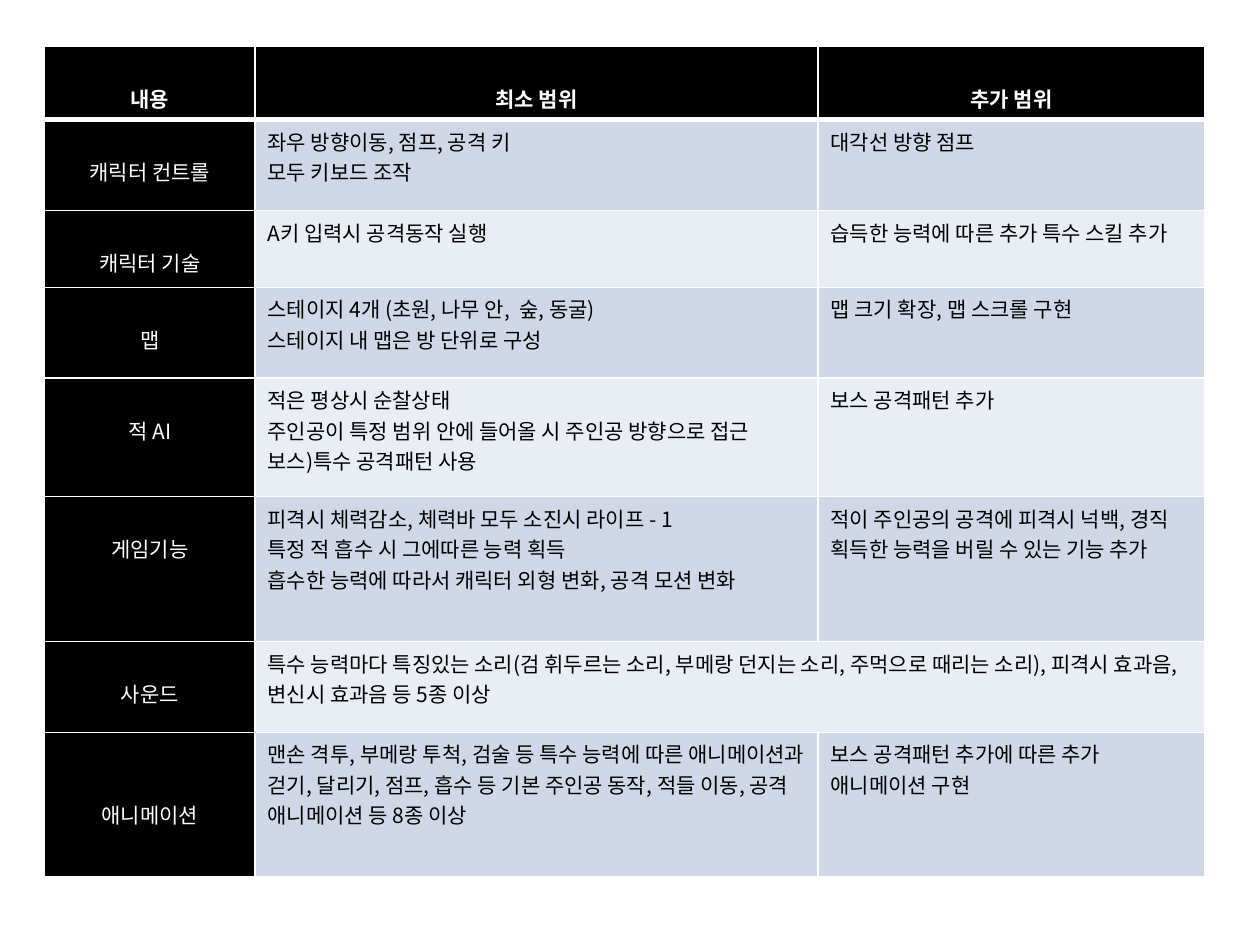
import pptx
import pptx.dml.color
import pptx.enum.text
import pptx.oxml
import pptx.oxml.ns
import pptx.util
from pptx.util import Cm

FONT = "Noto Sans CJK KR"
COLORS = {
    "black": "000000",
    "white": "FFFFFF",
    "band_dark": "D0D8E8",
    "band_light": "E9EDF4",
}
LINE = 0.61  # height of one text line, cm
COLUMNS = [4.24, 11.35, 7.8]
HEADER = ["내용", "최소 범위", "추가 범위"]
HEADER_HEIGHT = 1.32
# height, lines above the label, label, minimum scope, extra scope (None: merged)
ROWS = [
    (1.83, 1, "캐릭터 컨트롤",
     ["좌우 방향이동, 점프, 공격 키", "모두 키보드 조작"],
     ["대각선 방향 점프"]),
    (1.55, 1, "캐릭터 기술",
     ["A키 입력시 공격동작 실행"],
     ["습득한 능력에 따른 추가 특수 스킬 추가"]),
    (1.83, 1, "맵",
     ["스테이지 4개 (초원, 나무 안,  숲, 동굴)", "스테이지 내 맵은 방 단위로 구성"],
     ["맵 크기 확장, 맵 스크롤 구현"]),
    (2.39, 1, "적 AI",
     ["적은 평상시 순찰상태",
      "주인공이 특정 범위 안에 들어올 시 주인공 방향으로 접근",
      "보스)특수 공격패턴 사용"],
     ["보스 공격패턴 추가"]),
    (2.92, 1, "게임기능",
     ["피격시 체력감소, 체력바 모두 소진시 라이프 - 1",
      "특정 적 흡수 시 그에따른 능력 획득",
      "흡수한 능력에 따라서 캐릭터 외형 변화, 공격 모션 변화"],
     ["적이 주인공의 공격에 피격시 넉백, 경직",
      "획득한 능력을 버릴 수 있는 기능 추가"]),
    (1.83, 1, "사운드",
     ["특수 능력마다 특징있는 소리(검 휘두르는 소리, 부메랑 던지는 소리, "
      "주먹으로 때리는 소리), 피격시 효과음,  변신시 효과음 등 5종 이상"],
     None),
    (2.92, 2, "애니메이션",
     ["맨손 격투, 부메랑 투척, 검술 등 특수 능력에 따른 애니메이션과 걷기, "
      "달리기, 점프, 흡수 등 기본 주인공 동작, 적들 이동, 공격 애니메이션 등 8종 이상"],
     ["보스 공격패턴 추가에 따른 추가 애니메이션 구현"]),
]


def rgb(name):
    return pptx.dml.color.RGBColor.from_string(COLORS[name])


class Deck:
    def __init__(self, prs):
        self.s = prs.slides.add_slide(prs.slide_layouts[6])

    def table(self, left, top, widths, heights):
        frame = self.s.shapes.add_table(
            len(heights), len(widths), Cm(left), Cm(top),
            Cm(sum(widths)), Cm(sum(heights)))
        tbl = frame.table
        for column, width in zip(tbl.columns, widths):
            column.width = Cm(width)
        for row, height in zip(tbl.rows, heights):
            row.height = Cm(height)
        return tbl

    def borders(self, cell, bottom=1):
        tc_pr = cell._tc.get_or_add_tcPr()
        sides = {"lnL": 1, "lnR": 1, "lnT": 1, "lnB": bottom}
        for i, (side, width) in enumerate(sides.items()):
            tc_pr.insert(i, pptx.oxml.parse_xml(
                f'<a:{side} {pptx.oxml.ns.nsdecls("a")} w="{pptx.util.Pt(width)}">'
                f'<a:solidFill><a:srgbClr val="{COLORS["white"]}"/></a:solidFill>'
                f'</a:{side}>'))

    def cell(self, cell, lines, fill, color="black", bold=False, bottom=1):
        cell.fill.solid()
        cell.fill.fore_color.rgb = rgb(fill)
        self.borders(cell, bottom)
        tf = cell.text_frame
        for i, line in enumerate(lines):
            p = tf.add_paragraph() if i else tf.paragraphs[0]
            r = p.add_run()
            r.text = line
            r.font.name = FONT
            r.font.size = pptx.util.Pt(12)
            r.font.bold = bold
            r.font.color.rgb = rgb(color)
            r.font._element.append(pptx.oxml.parse_xml(
                f'<a:ea {pptx.oxml.ns.nsdecls("a")} typeface="{FONT}"/>'))

    def label(self, cell, text, offset=1, **style):
        """Centred white text on black, offset lines below the cell top."""
        self.cell(cell, [text], "black", "white", **style)
        cell.margin_top = Cm(0.13 + offset * LINE)
        cell.text_frame.paragraphs[0].alignment = pptx.enum.text.PP_ALIGN.CENTER


def main():
    prs = pptx.Presentation()
    prs.slide_width, prs.slide_height = Cm(25.4), Cm(19.05)
    deck = Deck(prs)
    tbl = deck.table(0.9, 0.93, COLUMNS, [HEADER_HEIGHT] + [row[0] for row in ROWS])
    for col, text in enumerate(HEADER):
        deck.label(tbl.cell(0, col), text, bold=True, bottom=3)
    for i, (_, offset, label, minimum, extra) in enumerate(ROWS, start=1):
        band = "band_dark" if i % 2 else "band_light"
        deck.label(tbl.cell(i, 0), label, offset)
        deck.cell(tbl.cell(i, 1), minimum, band)
        deck.cell(tbl.cell(i, 2), extra or [], band)
        if extra is None:
            tbl.cell(i, 1).merge(tbl.cell(i, 2))
    prs.save("out.pptx")


if __name__ == "__main__":
    main()
